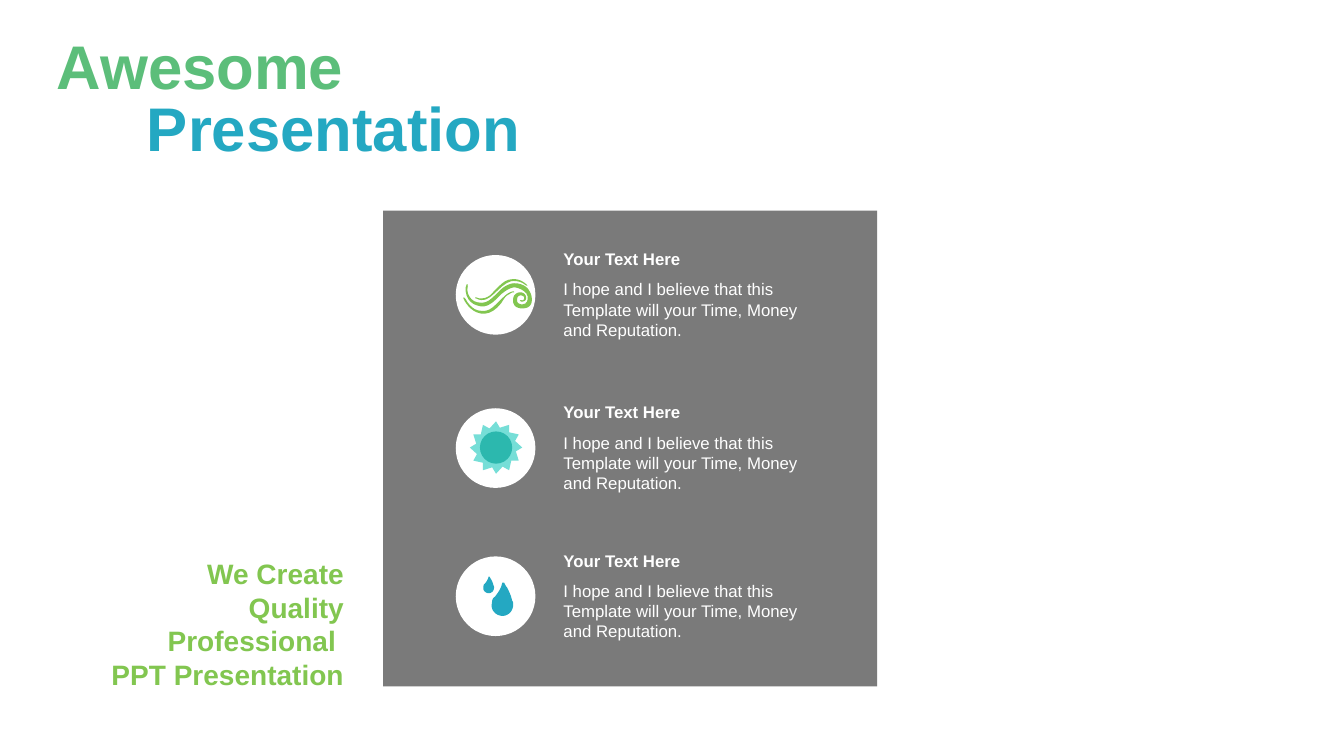
import math

from lxml import etree
from pptx import Presentation
from pptx.dml.color import RGBColor
from pptx.enum import shapes, text
from pptx.oxml import ns
from pptx.util import Inches, Pt

WHITE = RGBColor(0xFF, 0xFF, 0xFF)
GREY = RGBColor(0x59, 0x59, 0x59)
GREEN = RGBColor(0x5C, 0xBE, 0x7A)
LIME = RGBColor(0x82, 0xC6, 0x50)
BLUE = RGBColor(0x24, 0xA8, 0xC2)
TEAL = RGBColor(0x2C, 0xB8, 0xAE)
AQUA = RGBColor(0x76, 0xDE, 0xD7)

HEADING = "Your Text Here"
BODY = "I hope and I believe that this Template will your Time, Money and Reputation."
DISC = 0.79

GUSTS = [
    "70,29 68,27 62,23 56,24 48,24 43,31 34,40 30,43 27,43 24,43 22,43 21,42 20,42 "
    "19,42 19,43 20,43 21,43 24,46 30,44 38,41 46,28 55,26 60,25 66,27 68,29 "
    "71,31 72,31 70,29",
    "8,44 10,48 14,54 21,57 29,60 37,58 45,48 48,43 50,40 53,39 56,37 56,37 58,37 "
    "58,37 58,36 57,36 52,37 49,40 44,45 35,54 32,57 22,55 15,53 11,46 10,44 "
    "8,41 7,42 8,44",
    "10,32 9,41 14,48 21,50 29,53 35,50 45,39 50,35 53,33 58,32 59,32 64,33 68,36 "
    "73,39 73,49 66,49 64,49 60,48 61,44 61,43 61,40 65,40 65,40 68,41 68,42 "
    "68,47 64,44 64,45 63,45 65,47 67,46 69,46 70,44 70,42 69,37 65,37 63,37 "
    "58,38 57,42 57,44 56,52 63,53 66,53 71,53 74,51 75,48 76,45 76,39 72,34 "
    "71,32 66,28 58,28 55,28 49,30 44,35 35,44 31,49 22,47 15,46 10,38 12,31 "
    "12,28 11,28 10,32",
]
DROP = (
    "0,0 0,0 0,0 1,0 2,2 3,4 4,5 6,9 8,13 9,18 10,19 10,20 10,22 10,26 8,30 4,32 "
    "0,34 -4,33 -7,31 -11,28 -12,24 -11,20 -11,17 -10,15 -8,14 -5,10 -2,6 -1,1 "
    "-1,0 0,0 0,0"
)


def paint(sp, color):
    """Give a shape a plain fill with no line or shadow."""
    sp.shadow.inherit = False
    sp.fill.solid()
    sp.fill.fore_color.rgb = color
    sp.line.fill.background()
    return sp


def add_preset(s, kind, x, y, w, h, color):
    """Add a plain preset shape."""
    return paint(s.shapes.add_shape(kind, Inches(x), Inches(y), Inches(w), Inches(h)), color)


def add_outline(s, points, color):
    """Add a closed outline through points in inches."""
    start, *rest = [(Inches(x), Inches(y)) for x, y in points]
    builder = s.shapes.build_freeform(*start)
    builder.add_line_segments(rest, close=True)
    return paint(builder.convert_to_shape(), color)


def add_curve(s, curve, x, y, scale, color, steps=6):
    """Add an outline from cubic curve points placed relative to x, y."""
    pts = [[float(v) * scale for v in pair.split(",")] for pair in curve.split()]
    points = [(x + pts[0][0], y + pts[0][1])]
    for i in range(0, len(pts) - 1, 3):
        for n in range(1, steps + 1):
            t = n / steps
            weights = [(1 - t) ** 3, 3 * t * (1 - t) ** 2, 3 * t * t * (1 - t), t ** 3]
            dx, dy = (sum(w * p[k] for w, p in zip(weights, pts[i:i + 4])) for k in (0, 1))
            points.append((x + dx, y + dy))
    add_outline(s, points, color)


def add_text(s, content, x, y, w, h, size, color, bold=True, align=None,
             anchor=text.MSO_ANCHOR.TOP, margins=(0.1, 0.05), spacing=None):
    """Add a wrapped Arial text box."""
    tf = s.shapes.add_textbox(Inches(x), Inches(y), Inches(w), Inches(h)).text_frame
    tf.word_wrap = True
    tf.vertical_anchor = anchor
    tf.margin_left = tf.margin_right = Inches(margins[0])
    tf.margin_top = tf.margin_bottom = Inches(margins[1])
    tf.text = content
    for p in tf.paragraphs:
        p.alignment = align
        p.line_spacing = spacing
        for r in p.runs:
            r.font.name, r.font.size, r.font.bold = "Arial", Pt(size), bold
            r.font.color.rgb = color


def wind(s, x, y):
    """Draw the wind icon on the disc at x, y."""
    for gust in GUSTS:
        add_curve(s, gust, x, y, 0.01, LIME)


def sun(s, x, y):
    """Draw the sun icon on the disc at x, y."""
    cx, cy = x + 0.4, y + 0.39
    points = []
    for ray in range(12):
        for degrees, radius in ((30 * ray, 0.26), (30 * ray + 11, 0.2)):
            a = math.radians(degrees)
            points.append((cx + radius * math.sin(a), cy - radius * math.cos(a)))
    add_outline(s, points, AQUA)
    add_preset(s, shapes.MSO_SHAPE.OVAL, cx - 0.16, cy - 0.16, 0.32, 0.32, TEAL)


def drops(s, x, y):
    """Draw the water drops icon on the disc at x, y."""
    add_curve(s, DROP, x + 0.47, y + 0.26, 0.01, BLUE)
    add_curve(s, DROP, x + 0.33, y + 0.2, 0.005, BLUE)


def feature(s, x, y, icon):
    """Place a disc with its icon, heading and body text."""
    add_preset(s, shapes.MSO_SHAPE.OVAL, x, y, DISC, DISC, WHITE)
    icon(s, x, y)
    add_text(s, HEADING, x + 0.97, y - 0.11, 2.63, 0.3, 12, WHITE)
    add_text(s, BODY, x + 0.97, y + 0.19, 2.63, 0.71, 12, WHITE, bold=False)


def panel(s, x, y, w, h):
    """Place the translucent panel and its three features."""
    sp = add_preset(s, shapes.MSO_SHAPE.RECTANGLE, x, y, w, h, GREY)
    color = sp._element.spPr.find(ns.qn("a:solidFill"))[0]
    etree.SubElement(color, ns.qn("a:alpha"), val="80000")
    for top, icon in ((0.44, wind), (1.96, sun), (3.43, drops)):
        feature(s, x + 0.72, y + top, icon)


def title(s, x, y):
    """Place the two staggered title words."""
    middle = text.MSO_ANCHOR.MIDDLE
    add_text(s, "Awesome", x, y, 3.09, 0.84, 44, GREEN,
             align=text.PP_ALIGN.CENTER, anchor=middle)
    add_text(s, "Presentation", x + 0.92, y + 0.74, 4.13, 0.7, 44, BLUE,
             anchor=middle, spacing=0.9)


def tagline(s, x, y, w, h):
    """Place the right-aligned tagline."""
    add_text(s, "We Create\nQuality Professional \nPPT Presentation", x, y, w, h, 20, LIME,
             align=text.PP_ALIGN.RIGHT, margins=(0.04, 0))


def main():
    """Build and save the slide."""
    prs = Presentation()
    prs.slide_width, prs.slide_height = Inches(13.33), Inches(7.5)
    s = prs.slides.add_slide(prs.slide_layouts[6])
    panel(s, 3.8, 2.09, 4.9, 4.72)
    title(s, 0.44, 0.22)
    tagline(s, 1.03, 5.52, 2.42, 1.35)
    prs.save("out.pptx")


if __name__ == "__main__":
    main()
